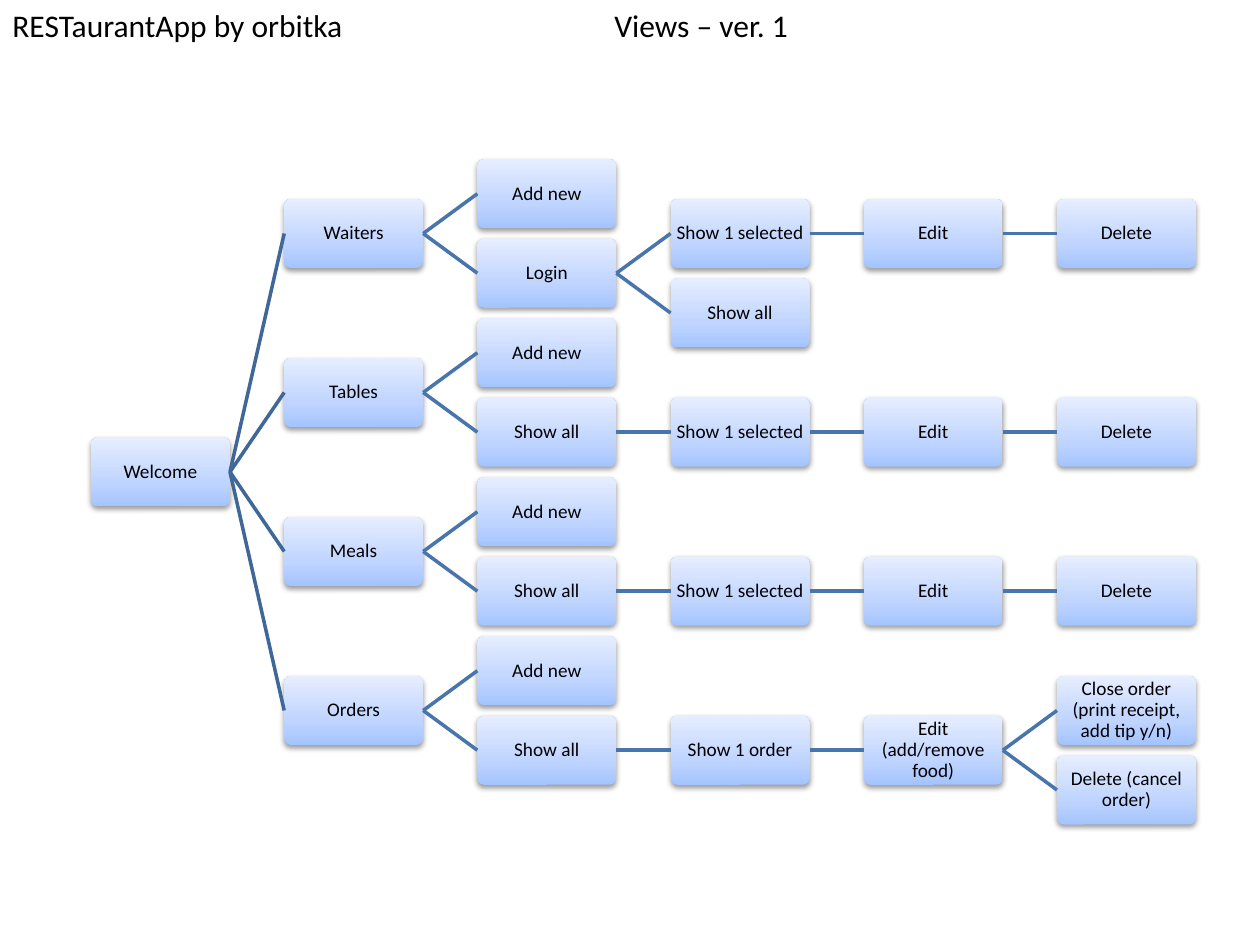
"""Build a slide with the tree of views of a restaurant app."""
from pptx import Presentation
from pptx import util as u
from pptx.dml.color import RGBColor
from pptx.enum import shapes, text
from pptx.oxml import parse_xml
from pptx.oxml.ns import nsdecls

HEAD = ("RESTaurantApp by orbitka", "Views – ver. 1")
CHAIN = ("Show 1 selected", [("Edit", [("Delete", [])])])
ENDS = [("Close order (print receipt, add tip y/n)", []),
        ("Delete (cancel order)", [])]
ORDER = ("Show 1 order", [("Edit (add/remove food)", ENDS)])
TREE = ("Welcome", [
    ("Waiters", [("Add new", []), ("Login", [CHAIN, ("Show all", [])])]),
    ("Tables", [("Add new", []), ("Show all", [CHAIN])]),
    ("Meals", [("Add new", []), ("Show all", [CHAIN])]),
    ("Orders", [("Add new", []), ("Show all", [ORDER])]),
])

BLACK = RGBColor(0x00, 0x00, 0x00)
DARK = RGBColor(0x3F, 0x67, 0x97)
BLUE = RGBColor(0x48, 0x75, 0xAC)
STOPS = ((0, RGBColor(0xA4, 0xC4, 0xFF)),
         (35, RGBColor(0xBF, 0xD4, 0xFF)),
         (100, RGBColor(0xE6, 0xEE, 0xFF)))

PX = u.Inches(1) / 126
WIDE, HIGH = 1260, 945
LEFT, LAST, COLS = 91, 1057, 6
MID, STEP = 472, 159
BOX_W, BOX_H = 139, 69
HEAD_W, HEAD_H, TAB = 816, 50, 602
FONT = "Calibri"

STOP_XML = "".join(
    f'<a:gs pos="{pos * 1000}"><a:srgbClr val="{tint}"/></a:gs>'
    for pos, tint in STOPS)
FILL_XML = (f'<a:gradFill {nsdecls("a")} rotWithShape="1"><a:gsLst>{STOP_XML}'
            '</a:gsLst><a:lin ang="16200000" scaled="0"/></a:gradFill>')
GLOW_XML = (f'<a:effectLst {nsdecls("a")}><a:outerShdw blurRad="40000" '
            'dist="20000" dir="5400000" rotWithShape="0">'
            f'<a:srgbClr val="{BLACK}"><a:alpha val="38000"/></a:srgbClr>'
            '</a:outerShdw></a:effectLst>')
FLAT_XML = f'<a:effectLst {nsdecls("a")}/>'


def px(num):
    return u.Emu(round(num * PX))


def style(para, size):
    for run in para.runs:
        run.font.name = FONT
        run.font.size = u.Pt(size)
        run.font.color.rgb = BLACK


def add_box(slide, label, col, mid):
    left = LEFT + col * (LAST - LEFT) / (COLS - 1)
    box = slide.shapes.add_shape(
        shapes.MSO_SHAPE.ROUNDED_RECTANGLE,
        px(left), px(mid - BOX_H / 2), px(BOX_W), px(BOX_H))
    box.adjustments[0] = 0.1
    props = box._element.spPr
    props.append(parse_xml(FILL_XML))
    box.line.fill.background()
    props.append(parse_xml(GLOW_XML))
    frame = box.text_frame
    frame.word_wrap = True
    frame.vertical_anchor = text.MSO_ANCHOR.MIDDLE
    frame.margin_left = frame.margin_right = px(1)
    frame.margin_top = frame.margin_bottom = px(1)
    frame.text = label
    para = frame.paragraphs[0]
    para.alignment = text.PP_ALIGN.CENTER
    para.line_spacing = 0.9
    style(para, 11)
    return box


def join(slide, start, end, tint):
    link = slide.shapes.add_connector(
        shapes.MSO_CONNECTOR.STRAIGHT, 0, 0, 0, 0)
    link.begin_connect(start, 3)
    link.end_connect(end, 1)
    link.line.color.rgb = tint
    link.line.width = u.Pt(2)
    link._element.spPr.append(parse_xml(FLAT_XML))


def grow(slide, node, col=0, mid=MID):
    label, kids = node
    box = add_box(slide, label, col, mid)
    step, tint = (STEP / 2, BLUE) if col else (STEP, DARK)
    for num, kid in enumerate(kids):
        spot = mid + (num - (len(kids) - 1) / 2) * step
        join(slide, box, grow(slide, kid, col + 1, spot), tint)
    return box


def add_head(slide):
    box = slide.shapes.add_textbox(0, 0, px(HEAD_W), px(HEAD_H))
    frame = box.text_frame
    frame.word_wrap = True
    para = frame.paragraphs[0]
    para.text = "\t".join(HEAD)
    para._p.get_or_add_pPr().append(parse_xml(
        f'<a:tabLst {nsdecls("a")}><a:tab pos="{px(TAB)}" algn="l"/>'
        '</a:tabLst>'))
    style(para, 18)


def main():
    deck = Presentation()
    deck.slide_width, deck.slide_height = px(WIDE), px(HIGH)
    slide = deck.slides.add_slide(deck.slide_layouts[6])
    grow(slide, TREE)
    add_head(slide)
    deck.save("out.pptx")


if __name__ == "__main__":
    main()
